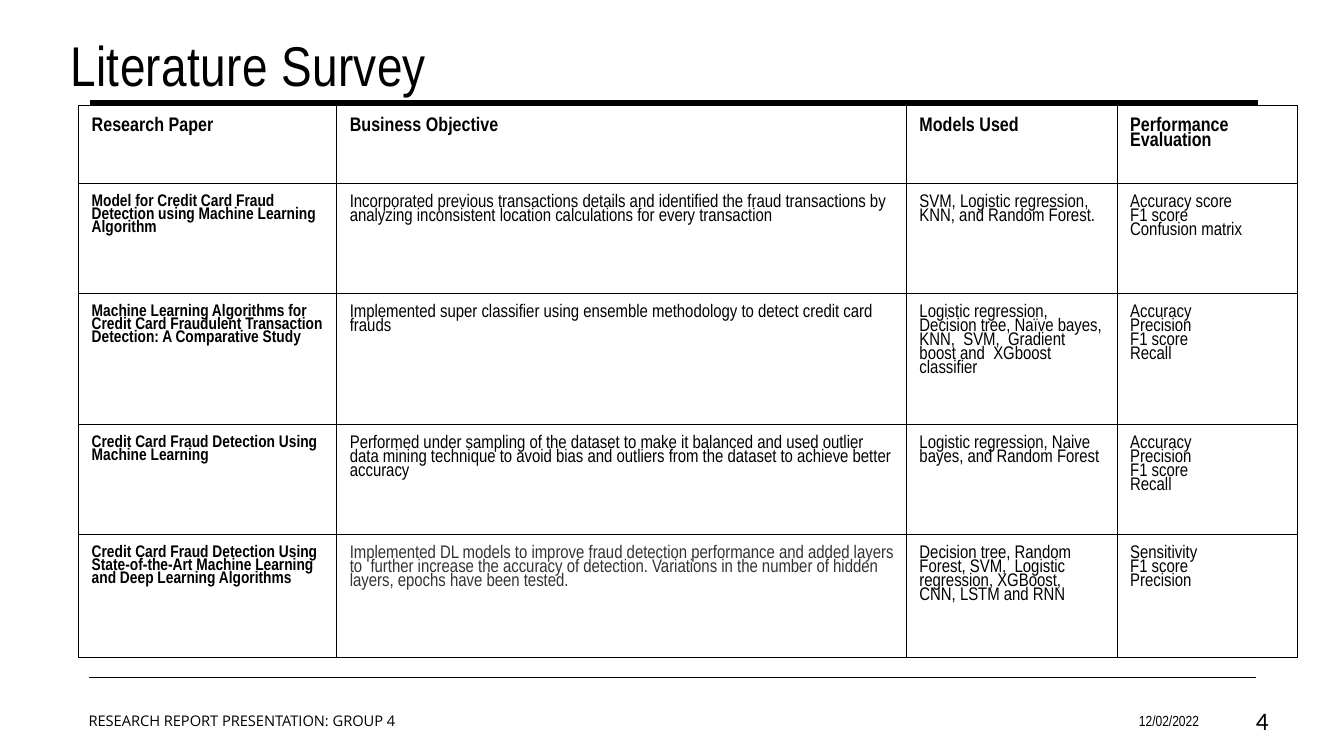
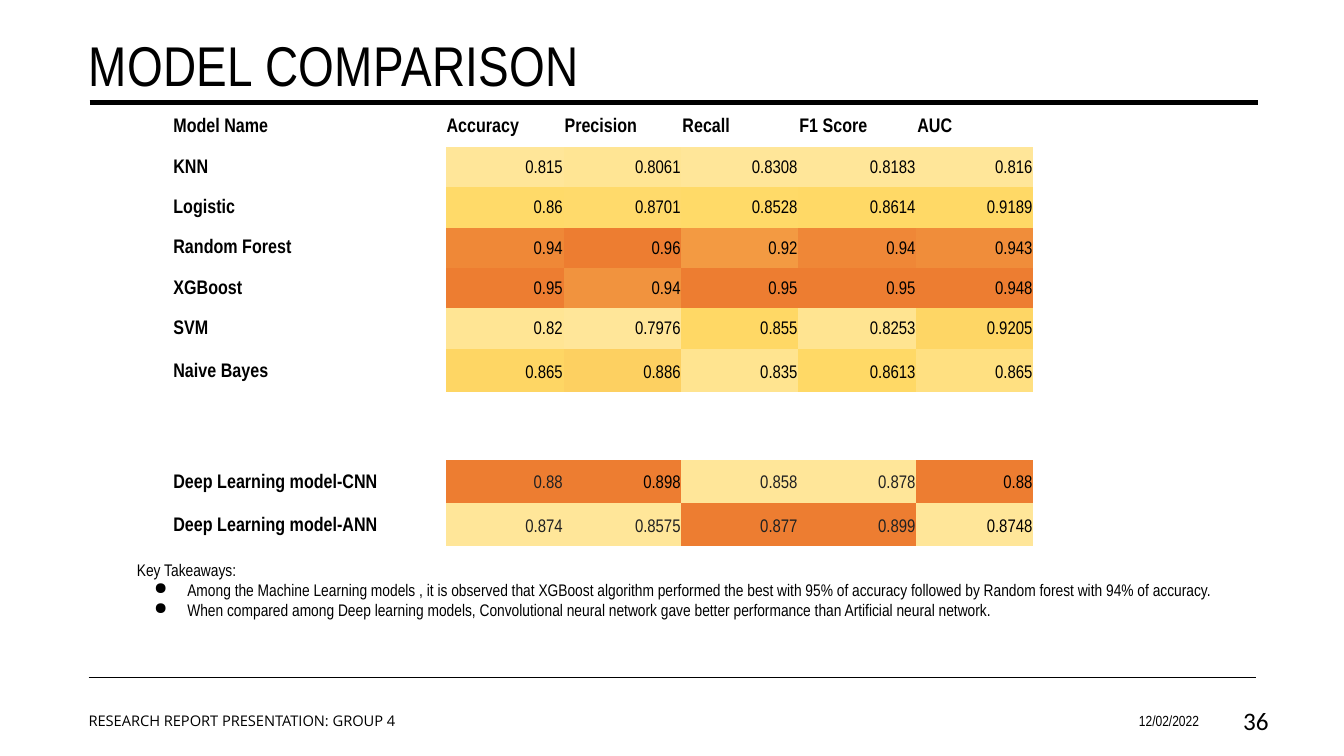
from lxml import etree
from pptx import Presentation
from pptx import util as u
from pptx.dml.color import RGBColor
from pptx.enum import shapes, text
from pptx.oxml import ns

BLACK = RGBColor(0x00, 0x00, 0x00)
DARK_GREY = RGBColor(0x33, 0x33, 0x33)
SOFT_BLACK = RGBColor(0x21, 0x21, 0x21)
LOW = RGBColor(0xFF, 0xE6, 0x99)
MIDDLE = RGBColor(0xFF, 0xD9, 0x66)
HIGH = RGBColor(0xED, 0x7D, 0x31)

NARROW = "Arial Narrow"
NO_GRID_STYLE = "{2D5ABB26-0587-4C30-8999-92F81FD0307C}"
LEFT, RIGHT = text.PP_ALIGN.LEFT, text.PP_ALIGN.RIGHT
TOP, CENTRE, BOTTOM = text.MSO_ANCHOR.TOP, text.MSO_ANCHOR.MIDDLE, text.MSO_ANCHOR.BOTTOM

SURVEY_WIDTHS = [2.56, 5.65, 2.09, 1.79]
SURVEY_HEIGHTS = [0.77, 1.09, 1.3, 1.09, 1.22]
SURVEY = [
    ["Research Paper", "Business Objective", "Models Used", "Performance Evaluation"],
    ["Model for Credit Card Fraud Detection using Machine Learning Algorithm",
     "Incorporated previous transactions details and identified the fraud transactions "
     "by analyzing inconsistent location calculations for every transaction",
     "SVM, Logistic regression, KNN, and Random Forest.",
     "Accuracy score\nF1 score\nConfusion matrix"],
    ["Machine Learning Algorithms for Credit Card Fraudulent Transaction Detection: "
     "A Comparative Study",
     "Implemented super classifier using ensemble methodology to detect credit card frauds",
     "Logistic regression,  Decision tree, Naïve bayes, KNN,  SVM,  Gradient boost and  "
     "XGboost classifier",
     "Accuracy\nPrecision\nF1 score\nRecall"],
    ["Credit Card Fraud Detection Using Machine Learning",
     "Performed under sampling of the dataset to make it balanced and used outlier data "
     "mining technique to avoid bias and outliers from the dataset to achieve better accuracy",
     "Logistic regression, Naive bayes, and Random Forest",
     "Accuracy\nPrecision\nF1 score\nRecall"],
    ["Credit Card Fraud Detection Using State-of-the-Art Machine Learning and Deep "
     "Learning Algorithms",
     "Implemented DL models to improve fraud detection performance and added layers to  "
     "further increase the accuracy of detection. Variations in the number of hidden "
     "layers, epochs have been tested.",
     "Decision tree, Random Forest, SVM,  Logistic regression, XGBoost,  CNN, LSTM and RNN",
     "Sensitivity\nF1 score\nPrecision"],
]

SCORE_WIDTHS = [2.71, 1.17, 1.17, 1.16, 1.17, 1.16]
SCORE_HEIGHTS = [0.37] + [0.4] * 5 + [0.43, 0.67, 0.43, 0.43]
SCORE_HEADER = ["Model Name", "Accuracy", "Precision", "Recall", "F1 Score", "AUC"]
MACHINE_LEARNING = [
    ["KNN", 0.815, 0.8061, 0.8308, 0.8183, 0.816],
    ["Logistic", 0.86, 0.8701, 0.8528, 0.8614, 0.9189],
    ["Random Forest", 0.94, 0.96, 0.92, 0.94, 0.943],
    ["XGBoost", 0.95, 0.94, 0.95, 0.95, 0.948],
    ["SVM", 0.82, 0.7976, 0.855, 0.8253, 0.9205],
    ["Naive Bayes", 0.865, 0.886, 0.835, 0.8613, 0.865],
]
DEEP_LEARNING = [
    ["Deep Learning model-CNN", 0.88, 0.898, 0.858, 0.878, 0.88],
    ["Deep Learning model-ANN", 0.874, 0.8575, 0.877, 0.899, 0.8748],
]
SOFT_BLACK_CELLS = {(8, 1), (8, 3), (8, 4), (9, 1), (9, 2), (9, 3), (9, 4)}

TAKEAWAYS = [
    "Among the Machine Learning models , it is observed that XGBoost algorithm performed "
    "the best with 95% of accuracy followed by Random forest with 94% of accuracy.",
    "When compared among Deep learning models, Convolutional neural network gave better "
    "performance than Artificial neural network.",
]


def write(frame, content, size, font=NARROW, color=BLACK, bold=False, align=LEFT, spacing=None):
    frame.text = content
    for para in frame.paragraphs:
        para.alignment = align
        para.line_spacing = spacing
        for span in para.runs:
            span.font.name = font
            span.font.size = u.Pt(size)
            span.font.bold = bold
            span.font.color.rgb = color


def add_text(slide, place, content, size, anchor=TOP, **style):
    box = slide.shapes.add_textbox(*map(u.Inches, place))
    frame = box.text_frame
    frame.word_wrap = True
    frame.vertical_anchor = anchor
    write(frame, content, size, **style)
    return frame


def add_rule(slide, left, right, top, width):
    line = slide.shapes.add_connector(
        shapes.MSO_CONNECTOR.STRAIGHT,
        u.Inches(left), u.Inches(top), u.Inches(right), u.Inches(top))
    line.line.color.rgb = BLACK
    line.line.width = u.Pt(width)
    etree.SubElement(line._element.spPr, ns.qn("a:effectLst"))


def add_page(deck, title, title_left, number):
    """Add a slide with its title, rules and footer."""
    page = deck.slides.add_slide(deck.slide_layouts[6])
    add_rule(page, 0.89, 12.48, 1.02, 3.5)
    add_rule(page, 0.88, 12.46, 6.72, 1)
    heading = add_text(page, (title_left, 0.25, 11.69, 0.73), title, 40)
    heading.paragraphs[0].runs[0].font._element.set("spc", "30")
    add_text(page, (0.78, 6.95, 4.96, 0.4), "RESEARCH REPORT PRESENTATION: GROUP 4",
             10.5, CENTRE, font="Open Sans")
    add_text(page, (9.15, 6.95, 2.84, 0.4), "12/02/2022", 10.5, CENTRE, align=RIGHT)
    add_text(page, (11.94, 6.95, 0.74, 0.4), number, 18, CENTRE, font="Calibri", align=RIGHT)
    return page


def add_plain_table(slide, left, top, widths, heights):
    """Add a table without banding, fills or grid."""
    table = slide.shapes.add_table(
        len(heights), len(widths), u.Inches(left), u.Inches(top),
        u.Inches(sum(widths)), u.Inches(sum(heights))).table
    table.first_row = table.horz_banding = False
    table._tbl.tblPr.find(ns.qn("a:tableStyleId")).text = NO_GRID_STYLE
    for column, width in zip(table.columns, widths):
        column.width = u.Inches(width)
    for row, height in zip(table.rows, heights):
        row.height = u.Inches(height)
    for cell in table.iter_cells():
        cell.fill.background()
    return table


def set_margins(cell, left, top, right, bottom):
    cell.margin_left, cell.margin_top = u.Inches(left), u.Inches(top)
    cell.margin_right, cell.margin_bottom = u.Inches(right), u.Inches(bottom)


def add_borders(cell):
    properties = cell._tc.get_or_add_tcPr()
    for index, side in enumerate(("lnL", "lnR", "lnT", "lnB")):
        border = etree.Element(ns.qn(f"a:{side}"), w=str(u.Pt(1)))
        fill = etree.SubElement(border, ns.qn("a:solidFill"))
        etree.SubElement(fill, ns.qn("a:srgbClr"), val=str(BLACK))
        properties.insert(index, border)


def add_bullet(para):
    properties = para._p.get_or_add_pPr()
    properties.set("marL", str(u.Inches(0.5)))
    properties.set("indent", str(u.Inches(-0.33)))
    etree.SubElement(properties, ns.qn("a:buChar"), char="●")


def blend(start, end, share):
    return RGBColor(*(round(a + (b - a) * share) for a, b in zip(start, end)))


def heat_color(value, values):
    """Colour a value on a scale from lowest over median to highest."""
    ranked = sorted(values)
    half = len(ranked) // 2
    median = (ranked[half] + ranked[-half - 1]) / 2
    if value <= median:
        return blend(LOW, MIDDLE, (value - ranked[0]) / (median - ranked[0]))
    return blend(MIDDLE, HIGH, (value - median) / (ranked[-1] - median))


def fill_scores(table, first_row, models):
    columns = list(zip(*models))
    for row, model in enumerate(models, first_row):
        write(table.cell(row, 0).text_frame, model[0], 14, bold=True)
        for column, score in enumerate(model[1:], 1):
            cell = table.cell(row, column)
            color = SOFT_BLACK if (row, column) in SOFT_BLACK_CELLS else BLACK
            write(cell.text_frame, f"{score:g}", 13, color=color, align=RIGHT)
            cell.fill.solid()
            cell.fill.fore_color.rgb = heat_color(score, columns[column])


def add_survey(deck):
    page = add_page(deck, "Literature Survey", 0.6, "4")
    table = add_plain_table(page, 0.78, 1.05, SURVEY_WIDTHS, SURVEY_HEIGHTS)
    last_row = len(SURVEY) - 1
    for row, entries in enumerate(SURVEY):
        for column, entry in enumerate(entries):
            cell = table.cell(row, column)
            set_margins(cell, 0.13, 0.13, 0.13, 0.13)
            add_borders(cell)
            size = 14 if row == 0 else 12 if column == 0 else 13
            color = DARK_GREY if (row, column) == (last_row, 1) else BLACK
            write(cell.text_frame, entry, size, color=color,
                  bold=row == 0 or column == 0, spacing=0.82)


def add_comparison(deck):
    page = add_page(deck, "MODEL COMPARISON", 0.78, "36")
    frame = add_text(page, (1.26, 5.45, 11.07, 1.01),
                     "\n".join(["Key Takeaways:"] + TAKEAWAYS), 12)
    frame.margin_top = frame.margin_bottom = u.Inches(0.1)
    for para in frame.paragraphs[1:]:
        add_bullet(para)
    table = add_plain_table(page, 1.71, 1.09, SCORE_WIDTHS, SCORE_HEIGHTS)
    for cell in table.iter_cells():
        set_margins(cell, 0.01, 0.01, 0.01, 0.1)
        cell.vertical_anchor = BOTTOM
    for column, label in enumerate(SCORE_HEADER):
        write(table.cell(0, column).text_frame, label, 14, bold=True)
    fill_scores(table, 1, MACHINE_LEARNING)
    fill_scores(table, 8, DEEP_LEARNING)


def main():
    deck = Presentation()
    deck.slide_width, deck.slide_height = u.Inches(13.33), u.Inches(7.5)
    add_survey(deck)
    add_comparison(deck)
    deck.save("out.pptx")


if __name__ == "__main__":
    main()
